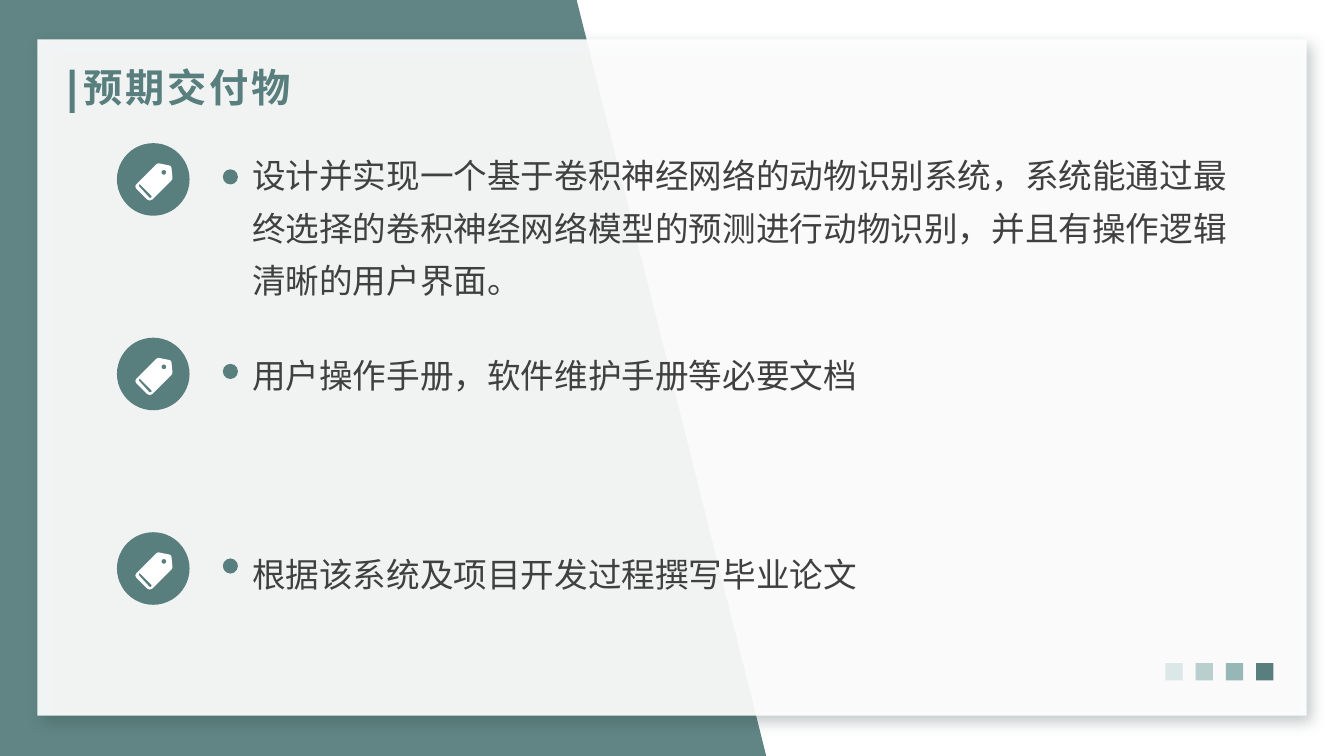
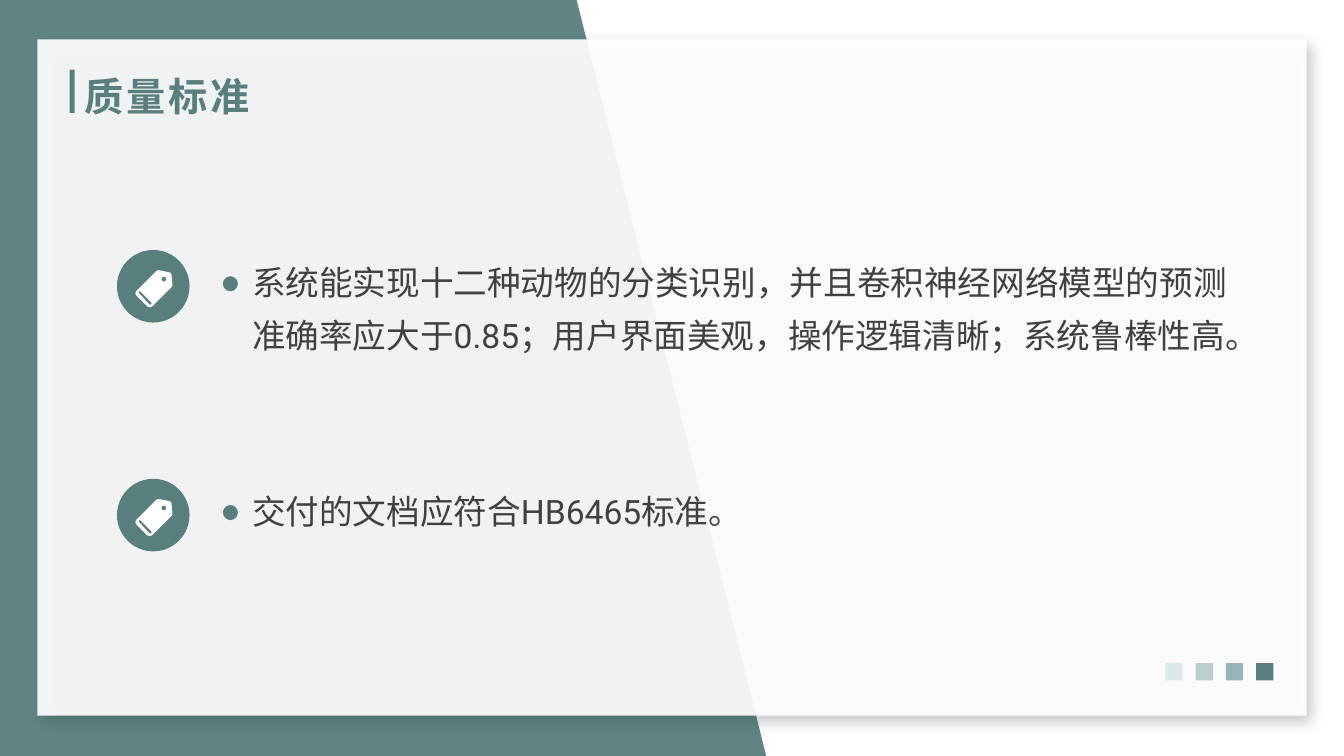
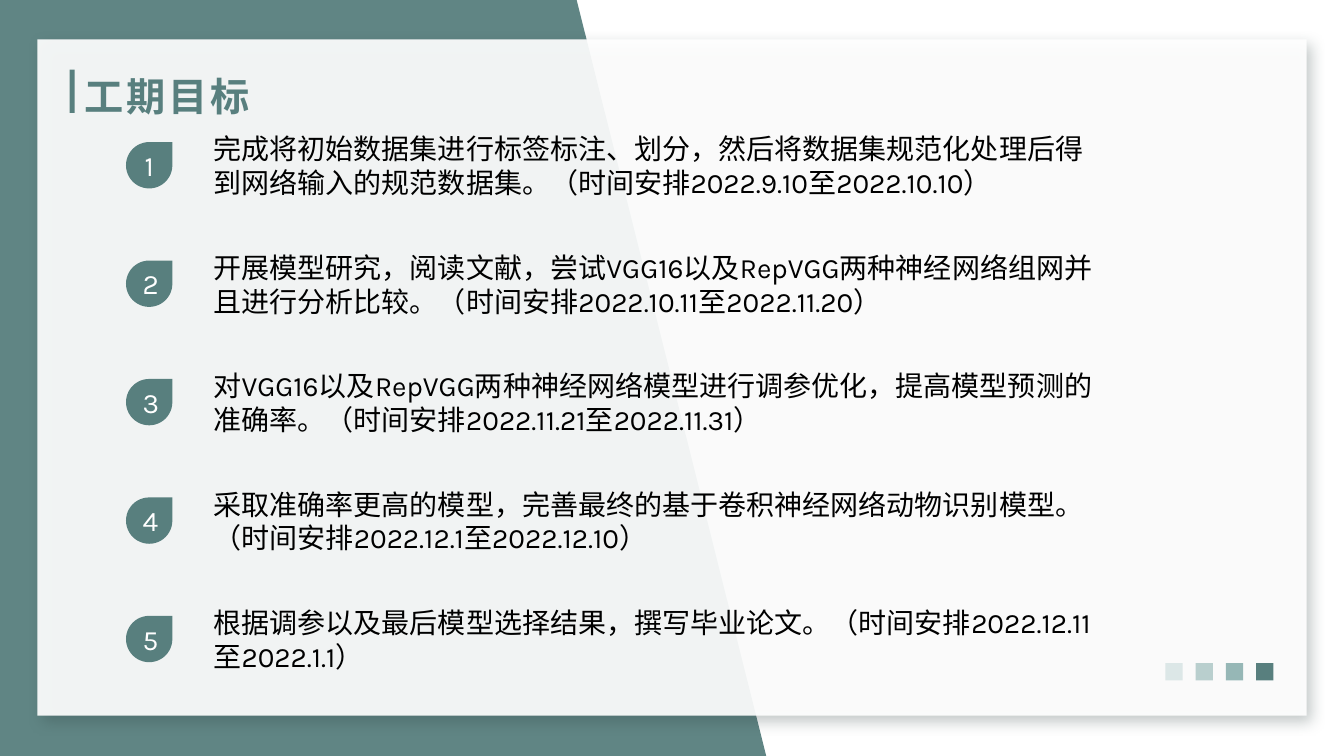
"""Three project slides: deliverables, quality standards and schedule."""
import math
from dataclasses import dataclass

from lxml import etree
from pptx import Presentation
from pptx.dml.color import RGBColor
from pptx.enum import lang, shapes, text
from pptx.oxml import ns
from pptx.util import Inches, Pt


@dataclass(frozen=True)
class Theme:
    """Colours, fonts and type sizes shared by the slides."""
    teal: str = "587F7E"
    white: str = "FFFFFF"
    ink: str = "404040"
    black: str = "000000"
    shadow: str = "2C403F"
    squares: tuple = ("DCE7E7", "B9CFCE", "96B7B6", "587F7E")
    title_font: str = "Lato"
    body_font: str = "Roboto"
    step_font: str = "Karla"
    title_size: int = 28
    body_size: int = 24
    step_size: int = 20


THEME = Theme()
SLIDE_WIDTH, SLIDE_HEIGHT = 13.33, 7.5
SHAPE = shapes.MSO_SHAPE
ANCHOR = text.MSO_ANCHOR

TAG_BODY = [(370, 140), (360, 40), (350, 26), (330, 20), (230, 0), (210, 10),
            (10, 210), (2, 230), (10, 250), (120, 360), (145, 370), (170, 360),
            (360, 170), (370, 155)]
TAG_SLOT = [(160, 340), (150, 344), (140, 340), (40, 230), (36, 220),
            (40, 210), (50, 210), (160, 320), (164, 330)]
TAG_HOLE = [(285 + 24 * math.cos(step * math.pi / 8),
             90 + 24 * math.sin(step * math.pi / 8)) for step in range(16)]

DELIVERABLES = [
    "设计并实现一个基于卷积神经网络的动物识别系统，系统能通过最终选择的卷积神经网络模型的预测进行动物识别，并且有操作逻辑清晰的用户界面。",
    "用户操作手册，软件维护手册等必要文档",
    "根据该系统及项目开发过程撰写毕业论文",
]
STANDARDS = [
    "系统能实现十二种动物的分类识别，并且卷积神经网络模型的预测准确率应大于0.85；用户界面美观，操作逻辑清晰；系统鲁棒性高。",
    "交付的文档应符合HB6465标准。",
]
SCHEDULE = [
    "完成将初始数据集进行标签标注、划分，然后将数据集规范化处理后得到网络输入的规范数据集。（时间安排2022.9.10至2022.10.10）",
    "开展模型研究，阅读文献，尝试VGG16以及RepVGG两种神经网络组网并且进行分析比较。（时间安排2022.10.11至2022.11.20）",
    "对VGG16以及RepVGG两种神经网络模型进行调参优化，提高模型预测的准确率。（时间安排2022.11.21至2022.11.31）",
    "采取准确率更高的模型，完善最终的基于卷积神经网络动物识别模型。（时间安排2022.12.1至2022.12.10）",
    "根据调参以及最后模型选择结果，撰写毕业论文。（时间安排2022.12.11至2022.1.1）",
]


def paint(shape, color, opacity=100):
    """Give a shape a plain fill without outline or shadow."""
    shape.shadow.inherit = False
    shape.line.fill.background()
    shape.fill.solid()
    shape.fill.fore_color.rgb = RGBColor.from_string(color)
    if opacity < 100:
        fill_color = shape._element.spPr.find(".//" + ns.qn("a:srgbClr"))
        etree.SubElement(fill_color, ns.qn("a:alpha"), val=str(opacity * 1000))


def add_block(slide, kind, left, top, width, height, color, opacity=100):
    """Add a painted preset shape."""
    shape = slide.shapes.add_shape(
        kind, Inches(left), Inches(top), Inches(width), Inches(height))
    paint(shape, color, opacity)
    return shape


def add_outline(slide, left, top, contours, color, opacity=100):
    """Add a painted freeform from contours in thousandths of an inch."""
    builder = slide.shapes.build_freeform(*contours[0][0], scale=Inches(1) / 1000)
    builder.add_line_segments(contours[0][1:], close=True)
    for contour in contours[1:]:
        builder.move_to(*contour[0])
        builder.add_line_segments(contour[1:], close=True)
    paint(builder.convert_to_shape(Inches(left), Inches(top)), color, opacity)


def add_shadow(shape, color, opacity, blur, distance, angle):
    """Cast an outer shadow from a shape."""
    effects = shape._element.spPr.find(ns.qn("a:effectLst"))
    shadow = etree.SubElement(
        effects, ns.qn("a:outerShdw"), blurRad=str(Pt(blur)), dist=str(Pt(distance)),
        dir=str(angle * 60000), algn="tl", rotWithShape="0")
    shade = etree.SubElement(shadow, ns.qn("a:srgbClr"), val=color)
    etree.SubElement(shade, ns.qn("a:alpha"), val=str(opacity * 1000))


def write(shape, wording, font_name, size, color, bold=False):
    """Set the text of a shape and return its run."""
    frame = shape.text_frame
    frame.word_wrap = True
    frame.text = wording
    run = frame.paragraphs[0].runs[0]
    run.font.name = font_name
    run.font.size = Pt(size)
    run.font.bold = bold
    run.font.color.rgb = RGBColor.from_string(color)
    run.font.language_id = lang.MSO_LANGUAGE_ID.SIMPLIFIED_CHINESE
    return run


def add_textbox(slide, left, top, width, height):
    """Add an empty text box placed in inches."""
    return slide.shapes.add_textbox(
        Inches(left), Inches(top), Inches(width), Inches(height))


def add_backdrop(slide):
    """Draw the slanted band, the translucent card and the corner squares."""
    band = [(0, 0), (5720, 0), (7600, 7500), (0, 7500)]
    add_outline(slide, 0, 0, [band], THEME.teal, 95)
    card = add_block(slide, SHAPE.RECTANGLE, 0.37, 0.39, 12.59, 6.71, THEME.white, 92)
    add_shadow(card, THEME.shadow, 30, 10, 6, 45)
    for index, color in enumerate(THEME.squares):
        add_block(slide, SHAPE.RECTANGLE, 11.56 + index * 0.3, 6.58, 0.17, 0.17, color)


def add_title(slide, wording, left, top, anchor):
    """Draw the accent bar and the slide title."""
    add_block(slide, SHAPE.RECTANGLE, 0.69, 0.69, 0.05, 0.43, THEME.teal)
    box = add_textbox(slide, left, top, 5.26, 0.48)
    box.text_frame.vertical_anchor = anchor
    run = write(box, wording, THEME.title_font, THEME.title_size, THEME.teal, bold=True)
    run._r.get_or_add_rPr().set("spc", "200")


def add_tag_badge(slide, left, top):
    """Draw a round badge with a tag icon and the bullet dot beside it."""
    add_block(slide, SHAPE.OVAL, left, top, 0.72, 0.72, THEME.teal)
    add_outline(slide, left + 0.18, top + 0.2, [TAG_BODY, TAG_SLOT, TAG_HOLE], THEME.white)
    add_block(slide, SHAPE.OVAL, left + 1.05, top + 0.26, 0.15, 0.15, THEME.teal)


def add_point_text(slide, wording, left, top):
    """Add the wording of one tagged point."""
    box = add_textbox(slide, left, top, 9.83, 0.52)
    frame = box.text_frame
    frame.margin_left = frame.margin_right = frame.margin_top = frame.margin_bottom = 0
    write(box, wording, THEME.body_font, THEME.body_size, THEME.ink)
    frame.paragraphs[0].line_spacing = 1.3


def add_step(slide, number, wording, left, top):
    """Draw a numbered drop with its step text."""
    drop = add_block(slide, SHAPE.TEAR, left, top, 0.46, 0.46, THEME.teal)
    write(drop, str(number), THEME.step_font, THEME.step_size, THEME.white)
    drop.text_frame.vertical_anchor = ANCHOR.MIDDLE
    drop.text_frame.paragraphs[0].alignment = text.PP_ALIGN.CENTER
    box = add_textbox(slide, left + 0.77, top - 0.15, 9, 0.77)
    write(box, wording, THEME.step_font, THEME.step_size, THEME.black)


def new_slide(presentation, title, left=0.74, top=0.71, anchor=ANCHOR.MIDDLE):
    """Add a blank slide with the shared backdrop and title."""
    slide = presentation.slides.add_slide(presentation.slide_layouts[6])
    add_backdrop(slide)
    add_title(slide, title, left, top, anchor)
    return slide


def fill_points(slide, points, top, badge_step, text_step):
    """Stack tagged points from a top edge."""
    for index, wording in enumerate(points):
        add_tag_badge(slide, 1.16, top + index * badge_step)
        add_point_text(slide, wording, 2.5, top + index * text_step)


def fill_schedule(slide, steps, top, step_gap):
    """Stack numbered steps from a top edge."""
    for index, wording in enumerate(steps):
        add_step(slide, index + 1, wording, 1.25, top + index * step_gap)


def main():
    """Build and save the presentation."""
    presentation = Presentation()
    presentation.slide_width = Inches(SLIDE_WIDTH)
    presentation.slide_height = Inches(SLIDE_HEIGHT)
    deliverables = new_slide(presentation, "预期交付物", 0.73, 0.58, ANCHOR.TOP)
    fill_points(deliverables, DELIVERABLES, 1.42, 1.93, 1.98)
    standards = new_slide(presentation, "质量标准")
    fill_points(standards, STANDARDS, 2.48, 2.27, 2.27)
    schedule = new_slide(presentation, "工期目标")
    fill_schedule(schedule, SCHEDULE, 1.41, 4.7 / 4)
    presentation.save("out.pptx")


if __name__ == "__main__":
    main()
